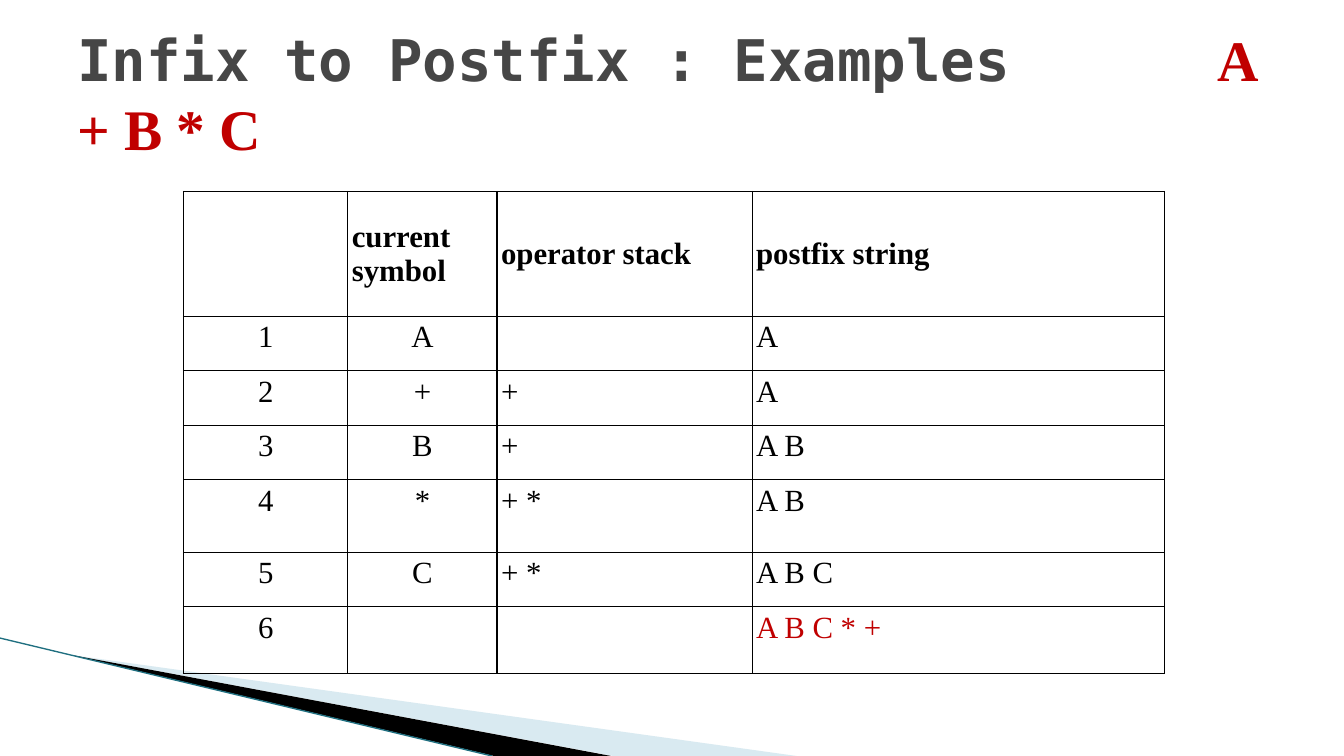
from lxml.etree import SubElement
from pptx import Presentation
from pptx.dml.color import RGBColor
from pptx.enum.shapes import MSO_CONNECTOR as Connector
from pptx.enum.text import MSO_ANCHOR as Anchor, PP_ALIGN as Align
from pptx.oxml.ns import qn
from pptx.util import Inches, Pt

WIDTH, HEIGHT = 13.33, 7.5
WHITE = RGBColor(0xFF, 0xFF, 0xFF)
BLACK = RGBColor(0, 0, 0)
GREY = RGBColor(0x46, 0x46, 0x46)
RED = RGBColor(0xC0, 0, 0)
PALE_BLUE = RGBColor(0xA0, 0xCB, 0xDC)
TEAL = RGBColor(0x1F, 0x6F, 0x80)
SERIF, MONO = "Times New Roman", "DejaVu Sans Mono"

COLUMNS = [1.63, 1.48, 2.53, 4.09]
ROWS = [1.24, 0.54, 0.54, 0.54, 0.72, 0.54, 0.66]
STEPS = [
    ["", "current symbol", "operator stack", "postfix string"],
    ["1", "A", "", "A"],
    ["2", "+", "+", "A"],
    ["3", "B", "+", "A B"],
    ["4", "*", "+ *", "A B"],
    ["5", "C", "+ *", "A B C"],
    ["6", "", "", "A B C * +"],
]


def write(para, text, size=22, font=SERIF, color=BLACK, bold=False):
    span = para.add_run()
    span.text = text
    span.font.size = Pt(size)
    span.font.name = font
    span.font.bold = bold
    span.font.color.rgb = color


def add_wedge(page, points, color, opacity=100):
    (left, top), *others = [(Inches(x), Inches(y)) for x, y in points]
    builder = page.shapes.build_freeform(left, top)
    builder.add_line_segments(others, close=True)
    wedge = builder.convert_to_shape()
    wedge.shadow.inherit = False
    wedge.fill.solid()
    wedge.fill.fore_color.rgb = color
    wedge.line.fill.background()
    if opacity < 100:
        tone = wedge.fill._xPr.find(qn("a:solidFill"))[0]
        SubElement(tone, qn("a:alpha"), val=str(opacity * 1000))


def draw_corner(page, left, top, bottom):
    """Sweeping wedges in the lower left corner, with a thin edge line."""
    tip = (left + 0.72, top + 0.17)
    add_wedge(page, [tip, (left + 7.9, bottom), (left + 6.08, bottom)], PALE_BLUE, 40)
    add_wedge(page, [tip, (left + 6.06, bottom), (left + 4.9, bottom)], BLACK)
    edge = page.shapes.add_connector(
        Connector.STRAIGHT, Inches(left), Inches(top), Inches(left + 4.88), Inches(bottom))
    edge.line.color.rgb = TEAL
    edge.line.width = Pt(0.95)
    SubElement(edge._element.spPr, qn("a:effectLst"))


def draw_title(page, left, top, width, height):
    box = page.shapes.add_textbox(*map(Inches, (left, top, width, height)))
    frame = box.text_frame
    frame.word_wrap = True
    frame.vertical_anchor = Anchor.MIDDLE
    para = frame.paragraphs[0]
    # The tab stop sets the expression near the right edge
    stops = SubElement(para._p.get_or_add_pPr(), qn("a:tabLst"))
    SubElement(stops, qn("a:tab"), pos=str(Inches(width - 0.69)), algn="l")
    write(para, "Infix to Postfix : Examples\t", size=41, font=MONO, color=GREY, bold=True)
    write(para, "A + B * C", size=41, color=RED, bold=True)


def add_borders(cell):
    properties = cell._tc.get_or_add_tcPr()
    for side in ("lnL", "lnR", "lnT", "lnB"):
        line = SubElement(properties, qn(f"a:{side}"), w=str(Pt(1)))
        fill = SubElement(line, qn("a:solidFill"))
        SubElement(fill, qn("a:srgbClr"), val=str(BLACK))


def draw_steps(page, left, top):
    frame = page.shapes.add_table(
        len(ROWS), len(COLUMNS), Inches(left), Inches(top),
        Inches(sum(COLUMNS)), Inches(sum(ROWS)))
    table = frame.table
    table.first_row = table.horz_banding = False
    for column, width in zip(table.columns, COLUMNS):
        column.width = Inches(width)
    for row, height in zip(table.rows, ROWS):
        row.height = Inches(height)
    for r, step in enumerate(STEPS):
        for c, text in enumerate(step):
            cell = table.cell(r, c)
            add_borders(cell)
            cell.fill.background()
            cell.margin_left = cell.margin_right = Inches(0.04)
            cell.margin_top = cell.margin_bottom = Inches(0.04)
            cell.vertical_anchor = Anchor.MIDDLE if r == 0 else Anchor.TOP
            para = cell.text_frame.paragraphs[0]
            para.alignment = Align.CENTER if r > 0 and c < 2 else Align.LEFT
            if text:
                result = r == len(ROWS) - 1 and c == len(COLUMNS) - 1
                write(para, text, color=RED if result else BLACK, bold=r == 0)


def main():
    deck = Presentation()
    deck.slide_width, deck.slide_height = Inches(WIDTH), Inches(HEIGHT)
    page = deck.slides.add_slide(deck.slide_layouts[6])
    page.background.fill.solid()
    page.background.fill.fore_color.rgb = WHITE
    draw_corner(page, 0, 6.33, HEIGHT)
    draw_title(page, WIDTH * 0.05, HEIGHT * 0.04, WIDTH * 0.9, 1.25)
    draw_steps(page, 1.82, 1.9)
    deck.save("out.pptx")


if __name__ == "__main__":
    main()
